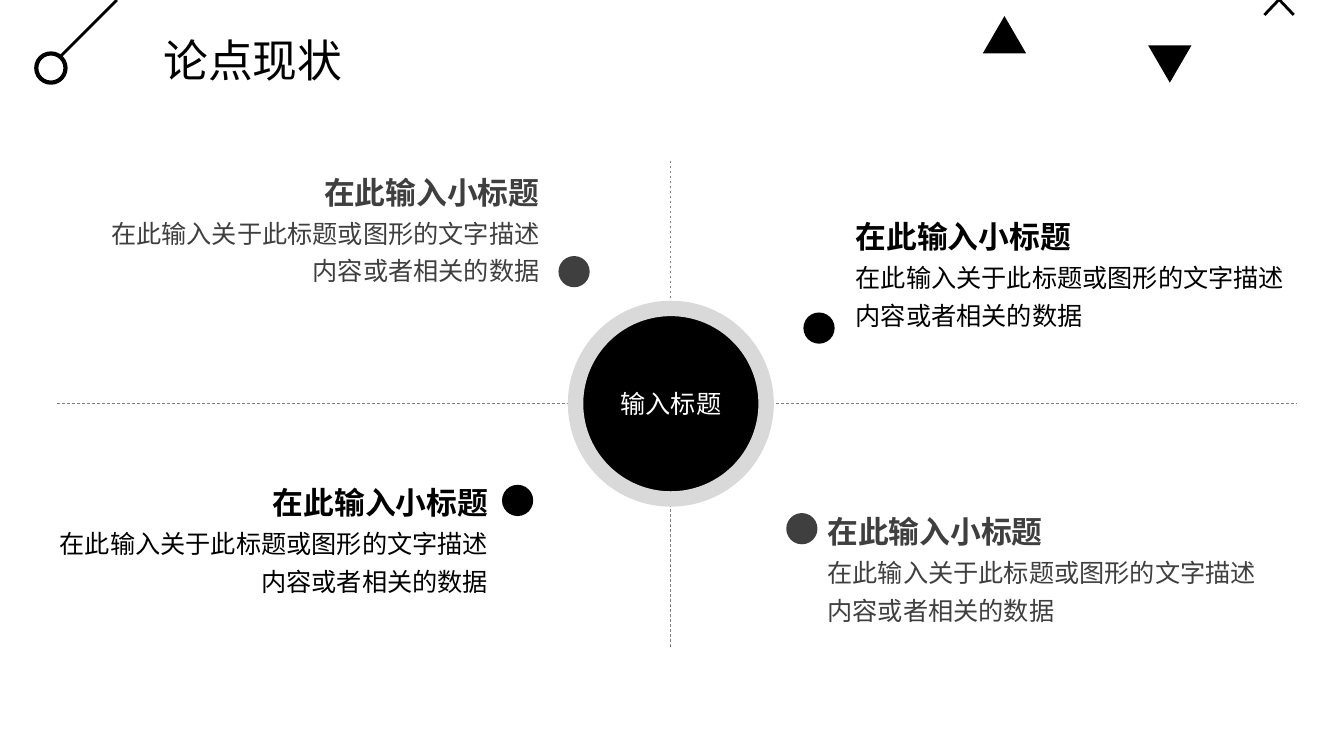
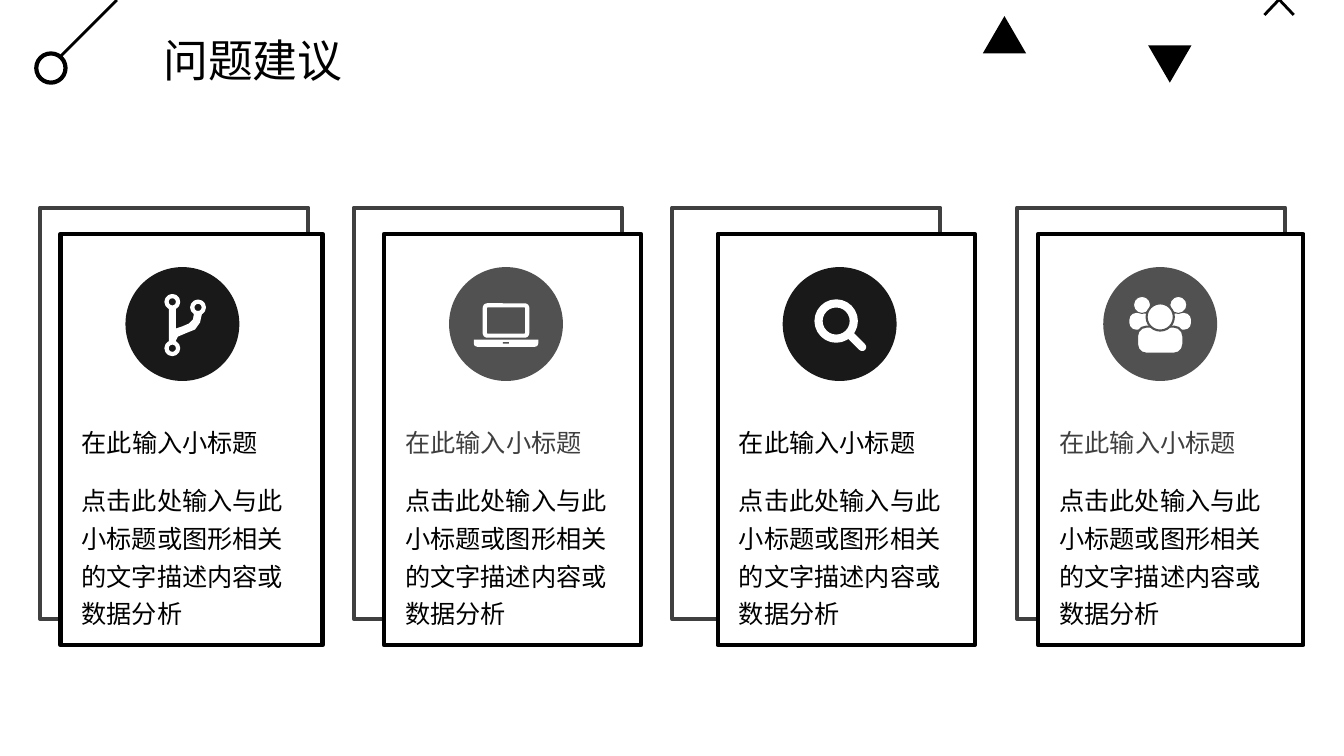
from lxml.etree import SubElement
from pptx import Presentation
from pptx.dml.color import RGBColor
from pptx.enum.dml import MSO_LINE
from pptx.enum.shapes import MSO_CONNECTOR, MSO_SHAPE
from pptx.enum.text import MSO_ANCHOR, MSO_AUTO_SIZE, PP_ALIGN
from pptx.oxml.ns import qn
from pptx.util import Inches, Pt

FONT = "Arial"
BLACK, WHITE, GRAY = "000000", "FFFFFF", "3F3F3F"
FRAME, RING, RULE = "404040", "D9D9D9", "808080"
DARK_BADGE, LIGHT_BADGE = "1A1A1A", "525252"
SUBTITLE = "在此输入小标题"
DESCRIPTION = "在此输入关于此标题或图形的文字描述内容或者相关的数据"
CARD_TEXT = "点击此处输入与此小标题或图形相关的文字描述内容或数据分析"


def rgb(value):
    """Turn a hex string into a colour."""
    return RGBColor.from_string(value)


def grid(units):
    """Turn grid columns or rows, ten to the inch, into a length."""
    return Inches(units / 10)


class Deck:
    """Hold the shared style and the slide being built."""

    def __init__(self):
        """Start a widescreen presentation."""
        self.prs = Presentation()
        self.prs.slide_width, self.prs.slide_height = grid(133.33), grid(75)
        self.s = None

    def slide(self, title):
        """Add a slide with its title and corner decoration."""
        self.s = self.prs.slides.add_slide(self.prs.slide_layouts[5])
        sp = self.s.shapes.title
        sp.left, sp.top, sp.width, sp.height = map(grid, (15.2, 2.7, 77.8, 6.4))
        self.set_text(sp.text_frame, [(title, 32, False)], BLACK, anchor=MSO_ANCHOR.MIDDLE)
        self.line(5.7, 5.9, 11.6, 0, BLACK, 2)
        self.disc(5.05, 6.75, 2.9, WHITE, BLACK, 3)
        self.shape(MSO_SHAPE.ISOSCELES_TRIANGLE, 97.5, 1.6, 4.3, 3.7, BLACK)
        self.shape(MSO_SHAPE.ISOSCELES_TRIANGLE, 113.9, 4.5, 4.3, 3.7, BLACK).rotation = 180
        cross = self.shape(MSO_SHAPE.MATH_MULTIPLY, 124.1, -3, 5.6, 5.9, BLACK)
        cross.adjustments[0] = 0.05

    def paint(self, sp, fill, line=None, width=1):
        """Set fill and outline, or none where no colour is given."""
        sp.shadow.inherit = False
        if fill:
            sp.fill.solid()
            sp.fill.fore_color.rgb = rgb(fill)
        else:
            sp.fill.background()
        if line:
            sp.line.color.rgb = rgb(line)
            sp.line.width = Pt(width)
        else:
            sp.line.fill.background()
        return sp

    def shape(self, kind, x, y, w, h, fill, line=None, width=1):
        """Add a preset shape by its top left corner."""
        sp = self.s.shapes.add_shape(kind, *map(grid, (x, y, w, h)))
        return self.paint(sp, fill, line, width)

    def disc(self, cx, cy, d, fill, line=None, width=1):
        """Add a circle by its centre and diameter."""
        return self.shape(MSO_SHAPE.OVAL, cx - d / 2, cy - d / 2, d, d, fill, line, width)

    def line(self, x1, y1, x2, y2, color, width, dash=None):
        """Add a straight line."""
        sp = self.s.shapes.add_connector(MSO_CONNECTOR.STRAIGHT, *map(grid, (x1, y1, x2, y2)))
        sp.line.color.rgb = rgb(color)
        sp.line.width = Pt(width)
        sp.line.dash_style = dash
        SubElement(sp._element.spPr, qn("a:effectLst"))

    def polygon(self, points, fill):
        """Add a closed outline through the points."""
        start, *rest = [(grid(x), grid(y)) for x, y in points]
        builder = self.s.shapes.build_freeform(*start)
        builder.add_line_segments(rest, close=True)
        return self.paint(builder.convert_to_shape(), fill)

    def set_text(self, tf, lines, color, align=PP_ALIGN.LEFT, anchor=MSO_ANCHOR.TOP, spacing=None):
        """Fill a text frame with (text, size, bold) paragraphs."""
        tf.vertical_anchor = anchor
        for i, (text, size, bold) in enumerate(lines):
            p = tf.add_paragraph() if i else tf.paragraphs[0]
            p.text, p.alignment, p.line_spacing = text, align, spacing
            p.font.name, p.font.size, p.font.bold = FONT, Pt(size), bold
            p.font.color.rgb = rgb(color)

    def text(self, x, y, w, h, lines, color, inset=True, **style):
        """Add a wrapping text box, with or without insets."""
        tf = self.s.shapes.add_textbox(*map(grid, (x, y, w, h))).text_frame
        tf.word_wrap = True
        if inset:
            tf.auto_size = MSO_AUTO_SIZE.SHAPE_TO_FIT_TEXT
        else:
            tf.margin_left = tf.margin_top = tf.margin_right = tf.margin_bottom = 0
        self.set_text(tf, lines, color, **style)

    def card(self, back, front, width, color, icon):
        """Add a framed card with an icon, a subtitle and a text."""
        self.shape(MSO_SHAPE.RECTANGLE, back, 20.6, 26.6, 40.8, WHITE, FRAME, 3)
        self.shape(MSO_SHAPE.RECTANGLE, front, 23.2, width, 40.8, WHITE, BLACK, 3)
        x = front + 2.1
        self.text(x, 42.2, 18.2, 3.3, [(SUBTITLE, 18, False)], color, inset=False,
                  anchor=MSO_ANCHOR.MIDDLE)
        self.text(x, 47.4, 20, 13.2, [(CARD_TEXT, 18, False)], BLACK, inset=False, spacing=1.25)
        cx, cy = front + 12.1, 32.15
        badge = self.disc(cx, cy, 11.3, color)
        value = badge._element.spPr.find(qn("a:solidFill")).find(qn("a:srgbClr"))
        SubElement(value, qn("a:alpha")).set("val", "90000")
        icon(cx, cy)

    def branch_icon(self, cx, cy):
        """Draw a forking branch with three nodes."""
        self.shape(MSO_SHAPE.RECTANGLE, cx - 1.35, cy - 1.5, 0.7, 3.2, WHITE)
        bend = [(1.15, -1.05), (1.95, -1.05), (1.75, -0.15), (1.25, 0.55), (0.25, 0.95),
                (-0.45, 1.25), (-0.65, 1.65), (-0.65, 0.45), (-0.05, 0.25), (0.65, -0.05),
                (1.05, -0.45)]
        self.polygon([(cx + x, cy + y) for x, y in bend], WHITE)
        for x, y in ((-1, -2.2), (-1, 2.4), (1.55, -1.65)):
            self.disc(cx + x, cy + y, 1.15, DARK_BADGE, WHITE, 3)

    def laptop_icon(self, cx, cy):
        """Draw an open laptop."""
        screen = self.shape(MSO_SHAPE.ROUNDED_RECTANGLE, cx - 2.1, cy - 1.85, 4.2, 3, None, WHITE, 3)
        screen.adjustments[0] = 0.08
        base = self.shape(MSO_SHAPE.ROUND_2_SAME_RECTANGLE, cx - 3.2, cy + 1.55, 6.4, 0.7, WHITE)
        base.adjustments[0] = 0.5
        base.rotation = 180
        self.shape(MSO_SHAPE.RECTANGLE, cx - 0.3, cy + 1.8, 0.6, 0.15, LIGHT_BADGE)

    def magnifier_icon(self, cx, cy):
        """Draw a magnifying glass."""
        self.disc(cx - 0.35, cy - 0.3, 3.5, None, WHITE, 5.8)
        handle = self.shape(MSO_SHAPE.ROUNDED_RECTANGLE, cx + 0.3, cy + 1.25, 2.6, 0.8, WHITE)
        handle.adjustments[0] = 0.5
        handle.rotation = 45

    def people_icon(self, cx, cy):
        """Draw one person in front of two others."""
        for side in (-1, 1):
            body = self.shape(MSO_SHAPE.ROUNDED_RECTANGLE, cx + side * 2.05 - 1, cy - 1.1, 2, 1.65, WHITE)
            body.adjustments[0] = 0.4
            self.disc(cx + side * 1.8, cy - 1.9, 1.7, WHITE, LIGHT_BADGE, 0.75)
        body = self.shape(MSO_SHAPE.ROUNDED_RECTANGLE, cx - 2.3, cy + 0.25, 4.6, 2.7, WHITE, LIGHT_BADGE, 1.5)
        body.adjustments[0] = 0.35
        self.disc(cx, cy - 0.7, 2.7, WHITE, LIGHT_BADGE, 1.5)


def build_status(deck):
    """Build the four quadrants around a central disc."""
    deck.slide("论点现状")
    cx, cy, d = 66.55, 40.05, 18.9
    for ends in ((76, 40, 128.6, 40), (5.7, 40, 57.1, 40),
                 (66.5, 30.6, 66.5, 15.8), (66.5, 64.2, 66.5, 49.5)):
        deck.line(*ends, RULE, 0.5, MSO_LINE.DASH)
    tf = deck.disc(cx, cy, d, BLACK, RING, 11).text_frame
    tf.word_wrap = False
    deck.set_text(tf, [("输入标题", 18, False)], WHITE, PP_ALIGN.CENTER, MSO_ANCHOR.MIDDLE)
    lines = [(SUBTITLE, 22, True), (DESCRIPTION, 18, False)]
    for x, y, dot_x, dot_y, color, align in (
            (8.3, 15.8, 56.95, 26.95, GRAY, PP_ALIGN.RIGHT),
            (83.9, 20.2, 81.25, 32.55, BLACK, PP_ALIGN.LEFT),
            (3.2, 46.6, 51.35, 49.65, BLACK, PP_ALIGN.RIGHT),
            (81.1, 49.5, 79.55, 52.45, GRAY, PP_ALIGN.LEFT)):
        deck.text(x, y, 46.2, 13.2, lines, color, align=align, spacing=1.25)
        deck.disc(dot_x, dot_y, 3.1, color)


def build_advice(deck):
    """Build the row of four cards."""
    deck.slide("问题建议")
    for card in ((4, 6, 26, BLACK, deck.branch_icon),
                 (35.1, 38.1, 25.5, GRAY, deck.laptop_icon),
                 (66.7, 71.2, 25.5, BLACK, deck.magnifier_icon),
                 (100.9, 103, 26.3, GRAY, deck.people_icon)):
        deck.card(*card)


def main():
    """Build both slides and save them."""
    deck = Deck()
    build_status(deck)
    build_advice(deck)
    deck.prs.save("out.pptx")


if __name__ == "__main__":
    main()
